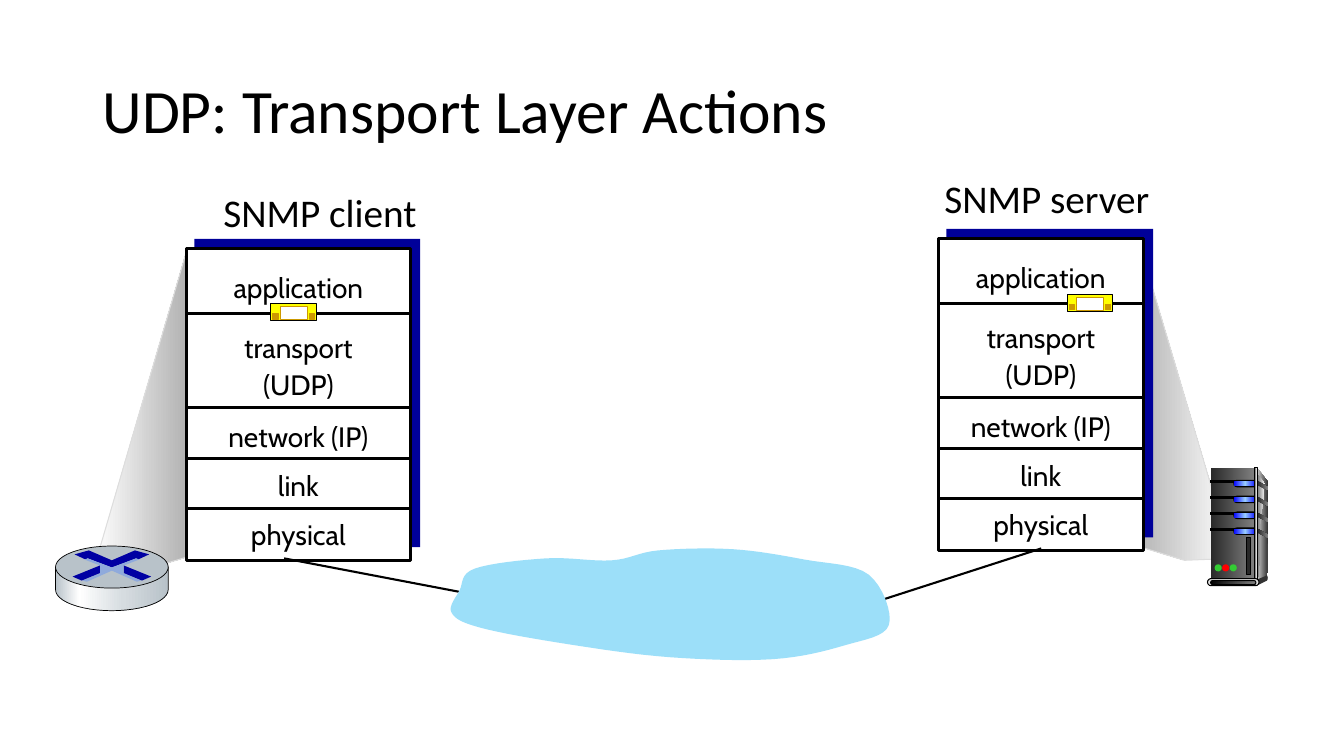
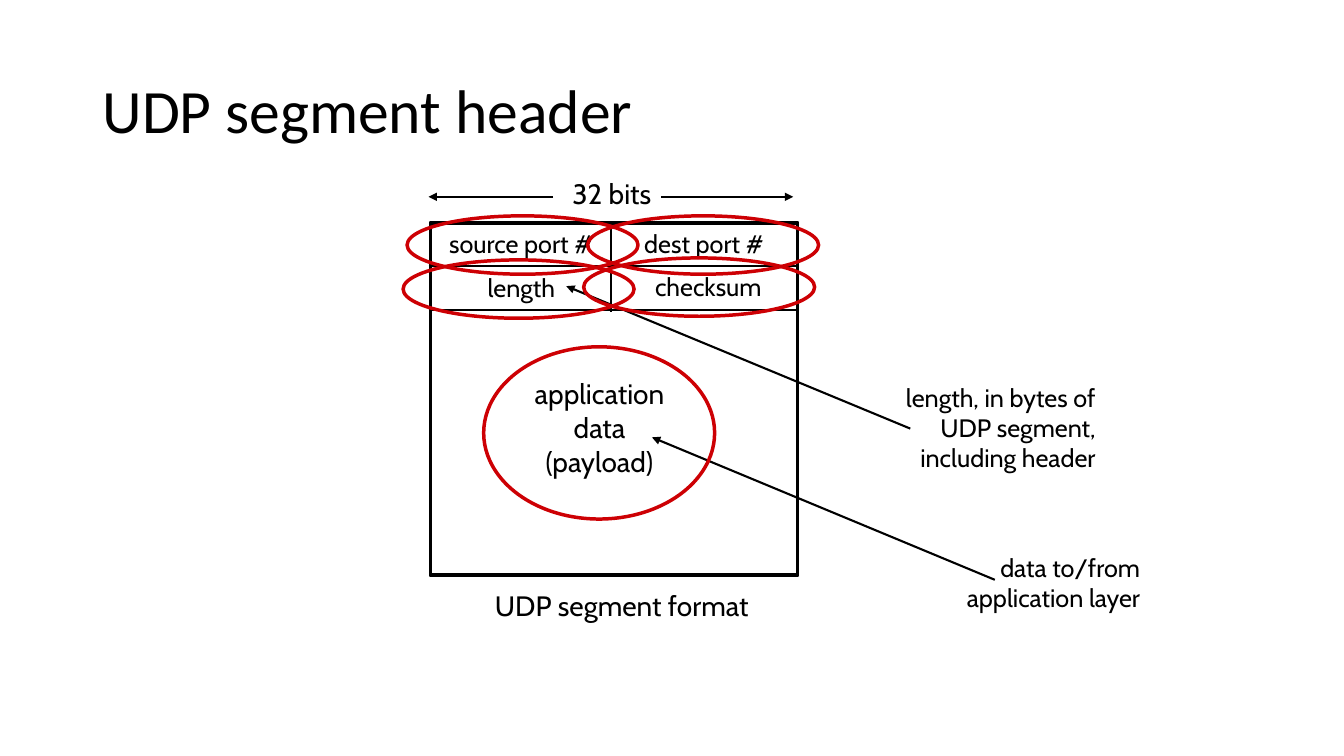
"""Build two slides on UDP: transport layer actions and the segment header."""
from copy import deepcopy
from math import cos, pi, sin

from lxml.etree import SubElement
from pptx import Presentation
from pptx.dml.color import RGBColor
from pptx.enum.shapes import MSO_CONNECTOR, MSO_SHAPE
from pptx.enum.text import MSO_ANCHOR, PP_ALIGN
from pptx.oxml.ns import qn
from pptx.util import Cm, Pt

BLACK = RGBColor(0x00, 0x00, 0x00)
WHITE = RGBColor(0xFF, 0xFF, 0xFF)
NAVY = RGBColor(0x00, 0x00, 0x99)
ARROW_BLUE = RGBColor(0x00, 0x00, 0xA3)
PALE_BLUE = RGBColor(0x8F, 0xAA, 0xDC)
LAMP_BLUE = RGBColor(0x00, 0x00, 0xFF)
LAMP_GLOW = RGBColor(0x99, 0xCC, 0xFF)
SKY = RGBColor(0x9C, 0xDF, 0xF9)
STEEL = RGBColor(0xB8, 0xC2, 0xC9)
LIGHT_STEEL = RGBColor(0xD6, 0xDC, 0xE0)
CHARCOAL = RGBColor(0x29, 0x29, 0x29)
DARK_GRAY = RGBColor(0x33, 0x33, 0x33)
MID_GRAY = RGBColor(0x80, 0x80, 0x80)
BEAM_GRAY = RGBColor(0xB2, 0xB2, 0xB2)
LIGHT_GRAY = RGBColor(0xDD, 0xDD, 0xDD)
SHEEN = RGBColor(0xF8, 0xF8, 0xF8)
YELLOW = RGBColor(0xFF, 0xFF, 0x00)
GOLD = RGBColor(0xCC, 0x99, 0x00)
GREEN = RGBColor(0x33, 0xCC, 0x33)
RED = RGBColor(0xFF, 0x00, 0x00)
CRIMSON = RGBColor(0xCD, 0x00, 0x04)

METAL = [(0, CHARCOAL), (1, MID_GRAY)]
LAMP = [(0, LAMP_BLUE), (0.5, LAMP_GLOW), (1, LAMP_BLUE)]
RECTANGLE = MSO_SHAPE.RECTANGLE
PILL = MSO_SHAPE.ROUNDED_RECTANGLE
OVAL = MSO_SHAPE.OVAL
LINE = MSO_CONNECTOR.STRAIGHT


def draw(shapes, form, place, fill=None, line=None, width=0.75, arrow=False):
    """Draw a preset shape, a connector, or an outline when form is None."""
    if form is LINE:
        connector = shapes.add_connector(LINE, *map(Cm, place))
        connector.line.color.rgb = line
        connector.line.width = Pt(width)
        properties = connector._element.spPr
        if arrow:
            SubElement(properties.find(qn("a:ln")), qn("a:tailEnd"), type="triangle")
        SubElement(properties, qn("a:effectLst"))
        return
    if form is None:
        points = [(Cm(x), Cm(y)) for x, y in place]
        builder = shapes.build_freeform(*points[0], scale=1.0)
        builder.add_line_segments(points[1:], close=True)
        shape = builder.convert_to_shape()
    else:
        shape = shapes.add_shape(form, *map(Cm, place))
        if form is PILL:
            shape.adjustments[0] = 0.5
    shape.shadow.inherit = False
    if fill is None:
        shape.fill.background()
    elif isinstance(fill, list):
        shape.fill.gradient()
        shape.fill.gradient_angle = 0
        stop_list = shape._element.spPr.find(".//" + qn("a:gsLst"))
        while len(stop_list) < len(fill):
            stop_list.append(deepcopy(stop_list[0]))
        for stop, (position, color) in zip(shape.fill.gradient_stops, fill):
            stop.position = position
            stop.color.rgb = color
    else:
        shape.fill.solid()
        shape.fill.fore_color.rgb = fill
    if line is None:
        shape.line.fill.background()
    else:
        shape.line.color.rgb = line
        shape.line.width = Pt(width)


def write(shapes, text, place, size, align=PP_ALIGN.CENTER, font="Cabin", spacing=1.0):
    """Add a text box with one paragraph for each line of the text."""
    box = shapes.add_textbox(*map(Cm, place))
    box.text_frame.word_wrap = True
    box.text_frame.text = text
    for para in box.text_frame.paragraphs:
        para.alignment = align
        para.line_spacing = spacing
        for span in para.runs:
            span.font.name = font
            span.font.size = Pt(size)
            span.font.color.rgb = BLACK


deck = Presentation()
deck.slide_width = Cm(33.87)
deck.slide_height = Cm(19.05)
pages = []
for heading in ("UDP: Transport Layer Actions", "UDP segment header"):
    page = deck.slides.add_slide(deck.slide_layouts[5])
    title = page.shapes.title
    title.left, title.top, title.width, title.height = map(Cm, (2.33, 1.01, 29.21, 3.68))
    title.text_frame.text = heading
    title.text_frame.vertical_anchor = MSO_ANCHOR.MIDDLE
    para = title.text_frame.paragraphs[0]
    para.alignment = PP_ALIGN.LEFT
    para.line_spacing = 0.9
    para.runs[0].font.name = "Calibri"
    para.runs[0].font.size = Pt(44)
    para.runs[0].font.color.rgb = BLACK
    pages.append(page.shapes)
actions, header = pages

server_beam = [(31.06, 14.07), (28.68, 6.02), (28.6, 13.74), (29.85, 14.12)]
client_beam = [(2.36, 14.35), (4.72, 6.27), (4.67, 14.05), (3.58, 14.38)]
draw(actions, None, server_beam, [(0, BEAM_GRAY), (1, WHITE)], LIGHT_GRAY)
draw(actions, None, client_beam, [(0, WHITE), (1, BEAM_GRAY)], LIGHT_GRAY)

server = actions.add_group_shape().shapes
side = [(31.7, 11.81), (31.95, 12.14), (31.93, 14.5), (31.65, 14.63)]
sheen = [(31.7, 11.96), (31.88, 12.19), (31.76, 13.2), (31.72, 14.55), (31.7, 14.55)]
foot = [(31.67, 14.61), (31.67, 14.76), (31.93, 14.63), (31.93, 14.5)]
draw(server, None, side, [(0, LIGHT_GRAY), (1, DARK_GRAY)])
draw(server, RECTANGLE, (30.51, 11.79, 1.12, 2.84), METAL)
draw(server, None, sheen, [(0, MID_GRAY), (1, SHEEN)])
for drive in range(4):
    top = 12.12 + 0.4 * drive
    vent = [(31.69, top), (31.95, top + 0.15), (31.95, top + 0.23), (31.69, top + 0.1)]
    draw(server, None, vent, METAL)
    draw(server, RECTANGLE, (30.51, top, 0.64, 0.05), BLACK, BLACK)
    draw(server, PILL, (31.08, top - 0.03, 0.61, 0.19), BLACK)
    draw(server, PILL, (31.09, top, 0.58, 0.14), LAMP)
spine = [(0, DARK_GRAY), (0.5, LIGHT_GRAY), (1, DARK_GRAY)]
draw(server, RECTANGLE, (31.62, 11.79, 0.08, 2.84), spine, BLACK)
draw(server, OVAL, (31.9, 14.5, 0.05, 0.13), DARK_GRAY)
draw(server, None, foot, DARK_GRAY)
draw(server, PILL, (30.43, 14.58, 1.3, 0.18), LIGHT_GRAY, BLACK)
draw(server, PILL, (30.51, 14.63, 1.14, 0.1), [(0, BLACK), (1, MID_GRAY)], BLACK)
for index, color in enumerate((GREEN, RED, GREEN)):
    draw(server, OVAL, (30.61 + 0.19 * index, 14.22, 0.18, 0.18), color)
draw(server, RECTANGLE, (31.42, 13.54, 0.1, 0.94), CHARCOAL, BLACK)

layers = [
    ("application", 0.33), ("transport\n(UDP)", 1.85), ("network (IP)", 4.1),
    ("link", 5.33), ("physical", 6.57),
]
stacks = [
    ("SNMP client", 5.38, 4.62, 4.7, 6.27, 5.64),
    ("SNMP server", 23.55, 4.27, 23.65, 6.02, 5.16),
]
for name, name_left, name_top, left, top, width in stacks:
    write(actions, name, (name_left, name_top, 6, 1.45), 28, PP_ALIGN.LEFT, "Calibri")
    stack = actions.add_group_shape().shapes
    draw(stack, RECTANGLE, (left + 0.2, top - 0.25, width + 0.05, 7.77), NAVY)
    draw(stack, RECTANGLE, (left, top, width, 7.85), WHITE, BLACK, 2.25)
    for drop in (1.63, 3.99, 5.28, 6.55):
        draw(stack, LINE, (left, top + drop, left + width, top + drop), line=BLACK, width=2.25)
    for layer, drop in layers:
        write(stack, layer, (left, top + drop, width, 1.2), 20, spacing=1.1)

draw(actions, LINE, (26.24, 13.82, 22.15, 15.14), line=BLACK, width=1.5)
draw(actions, LINE, (7.16, 14.07, 11.56, 14.91), line=BLACK, width=1.5)

knots = [
    (16.59, 13.87), (15.42, 14.12), (13.77, 14.07), (11.96, 14.33), (11.58, 14.88),
    (11.38, 15.44), (12.12, 15.82), (14.3, 16.23), (16.87, 16.56), (19.48, 16.61),
    (21.29, 16.26), (22.4, 15.75), (21.89, 14.48), (20.27, 14.1), (18.47, 13.84),
]
cloud = []
for index, knot in enumerate(knots):
    before, after = knots[index - 1], knots[(index + 1) % len(knots)]
    beyond = knots[(index + 2) % len(knots)]
    for step in range(8):
        t = step / 8
        cloud.append([
            b + t * (c - a) / 2 + t**2 * (2 * a - 5 * b + 4 * c - d) / 2
            + t**3 * (3 * b - a - 3 * c + d) / 2
            for a, b, c, d in zip(before, knot, after, beyond)
        ])
draw(actions, None, cloud, SKY)

router = actions.add_group_shape().shapes
center, middle, radius_x, radius_y = 2.82, 14.29, 1.42, 0.53
rim = [
    (center + radius_x * cos(pi * step / 24), middle + 0.57 + radius_y * sin(pi * step / 24))
    for step in range(25)
]
body = [(center - radius_x, middle), (center + radius_x, middle)] + rim
body_fill = [(0, STEEL), (0.21, WHITE), (0.6, LIGHT_STEEL), (1, STEEL)]
draw(router, None, body, body_fill, BLACK, 0.5)
lid = (center - radius_x, middle - radius_y, 2 * radius_x, 2 * radius_y)
draw(router, OVAL, lid, STEEL, BLACK, 0.5)
upper_arrows = [(0, 14.12), (0.58, 13.87), (0.94, 13.97), (0.66, 14.1), (0.61, 14.07), (0, 14.3)]
cross = [
    (0, 14.3), (0.61, 14.07), (0.69, 14.1), (0.3, 14.25),
    (0.3, 14.45), (0.74, 14.63), (0.63, 14.66), (0, 14.38),
]
for half, color in ((upper_arrows, ARROW_BLUE), (cross, PALE_BLUE)):
    right = [(center + x, y) for x, y in half]
    left = [(center - x, y) for x, y in reversed(half)]
    draw(router, None, right + left, color)
for sign in (-1, 1):
    arm = [(0.3, 14.25), (0.99, 14.53), (0.76, 14.63), (0.3, 14.44)]
    draw(router, None, [(center + sign * x, y) for x, y in arm], ARROW_BLUE)

for left, top in ((6.83, 7.65), (26.9, 7.42)):
    segment = actions.add_group_shape().shapes
    draw(segment, RECTANGLE, (left, top, 1.14, 0.43), YELLOW, BLACK)
    draw(segment, RECTANGLE, (left + 0.23, top + 0.08, 0.69, 0.33), WHITE, GOLD)
    for shift in (0.05, 0.96):
        draw(segment, RECTANGLE, (left + shift, top + 0.26, 0.13, 0.13), GOLD, GOLD)

draw(header, RECTANGLE, (10.85, 5.61, 9.25, 8.89), WHITE, BLACK, 2.75)
for place in ((10.8, 6.71, 20.05, 6.71), (10.8, 7.82, 20.05, 7.82), (15.39, 5.61, 15.39, 7.85)):
    draw(header, LINE, place, line=BLACK, width=1.5)

labels = [
    ("source port #", (10.95, 5.64, 4.34, 1), 18, PP_ALIGN.CENTER),
    ("dest port #", (15.9, 5.64, 3.68, 1), 18, PP_ALIGN.CENTER),
    ("length", (11.51, 6.73, 3.26, 1), 18, PP_ALIGN.CENTER),
    ("checksum", (15.91, 6.71, 3.88, 1), 18, PP_ALIGN.CENTER),
    ("32 bits", (13.82, 4.32, 3.2, 1.1), 20, PP_ALIGN.CENTER),
    ("application\ndata\n(payload)", (12.68, 9.37, 4.86, 2.8), 20, PP_ALIGN.CENTER),
    ("UDP segment format", (11.67, 14.71, 8, 1.1), 20, PP_ALIGN.CENTER),
    ("length, in bytes of UDP segment, including header", (21.46, 9.5, 6.4, 2.55), 18, PP_ALIGN.RIGHT),
    ("data to/from application layer", (22.58, 13.79, 6.4, 1.8), 18, PP_ALIGN.RIGHT),
]
for text, place, size, align in labels:
    write(header, text, place, size, align)

arrows = [
    (16.66, 4.96, 19.99, 4.96), (13.94, 4.96, 10.8, 4.96),
    (22.94, 10.8, 14.27, 7.21), (25.07, 14.61, 16.43, 11.02),
]
for place in arrows:
    draw(header, LINE, place, line=BLACK, width=1.5, arrow=True)

rings = [
    (10.26, 5.44, 1.47), (14.81, 5.44, 1.47), (10.16, 6.55, 1.47),
    (14.71, 6.5, 1.47), (12.19, 8.74, 4.34),
]
for left, top, height in rings:
    draw(header, OVAL, (left, top, 5.82, height), line=CRIMSON, width=2.5)

deck.save("out.pptx")
